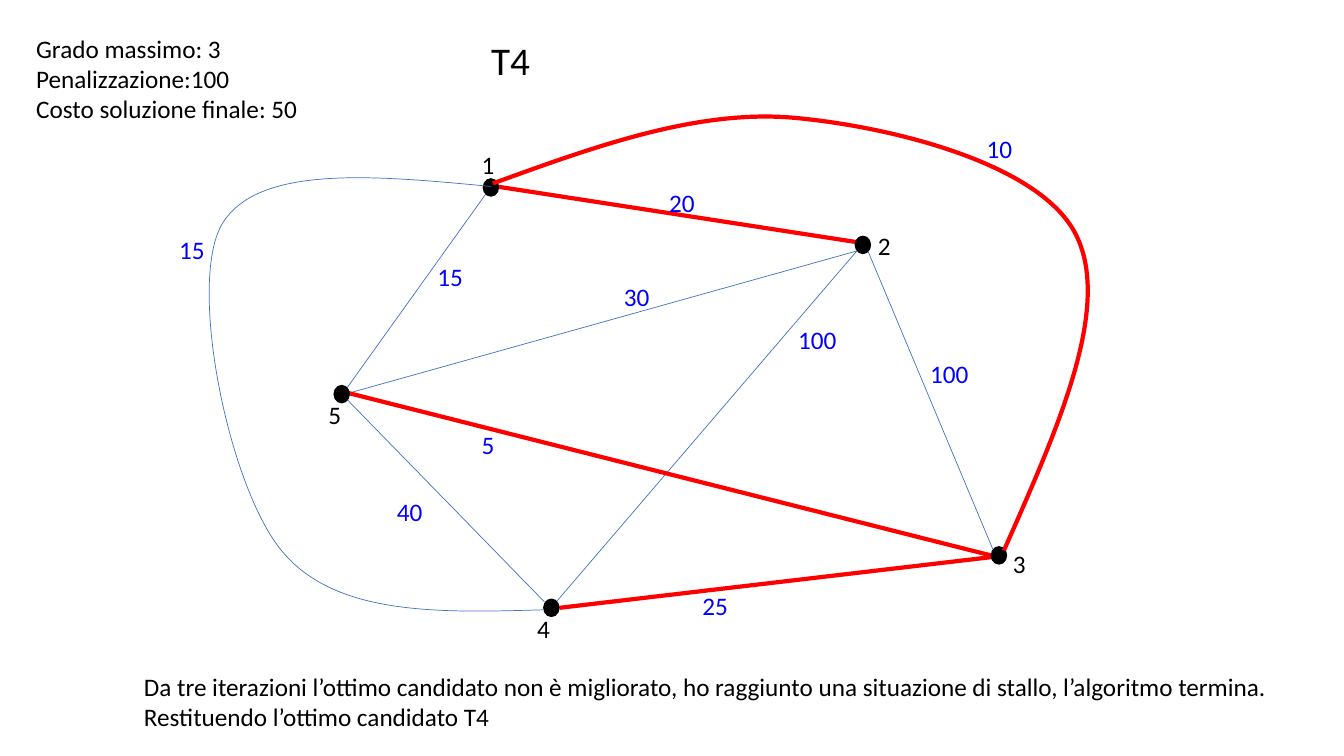
import pptx
import pptx.util
import pptx.dml.color
import pptx.enum.shapes
import pptx.enum.text
import lxml.etree

CELL = 0.1  # inches; the slide is a grid of 133.3 columns by 75 rows
BLACK, WHITE, BLUE, RED, WEIGHT_BLUE = "000000", "FFFFFF", "4472C4", "FF0000", "0000FF"

# Grid positions below are relative to the graph box.
# number: (centre, label corner)
NODES = {
    "1": ((32.7, 7.6), (30.8, 3.3)),
    "2": ((69.6, 13.3), (70.1, 11.4)),
    "3": ((83.1, 44.1), (83.5, 42.9)),
    "4": ((38.7, 49.3), (36.3, 49.4)),
    "5": ((17.9, 28.1), (15.6, 28.1)),
}
# weight, label corner, points, in the final tree
STRAIGHT_EDGES = [
    ("25", (52.7, 47.1), [(39.5, 49.3), (83.8, 44.1)], True),
    ("15", (26.4, 14.4), [(32.3, 8.1), (18.2, 27.8)], False),
    ("20", (49.4, 7.1), [(32.6, 7.4), (69.5, 13.1)], True),
    ("100", (75.3, 24.1), [(70.1, 13.9), (82.5, 43.5)], False),
    ("40", (22.4, 37.7), [(18.4, 28.6), (38, 48.7)], False),
    ("30", (44.9, 16.4), [(18.6, 28), (69, 13.9)], False),
    ("100", (62.2, 20.7), [(39.2, 48.7), (69, 13.9)], False),
    ("5", (30.8, 31.1), [(18.6, 28), (82.3, 44.1)], True),
]
CURVED_EDGES = [
    ("15", (0.8, 11.8), [(32.7, 7.5), (21.1, 6.4), (9.5, 5.3), (6, 11.3), (2.6, 17.3),
                         (6.7, 37.4), (12, 43.7), (17.3, 50.1), (27.6, 49.8), (37.9, 49.5)], False),
    ("10", (80.9, 1.7), [(32.9, 7.2), (43.1, 3.5), (53.3, -0.2), (62.9, 0.7), (72.6, 1.6),
                         (87.4, 5.3), (90.8, 12.4), (94.3, 19.6), (88.9, 31.6), (83.6, 43.6)], True),
]


def rgb(code):
    """Turn a hex string into a colour."""
    return pptx.dml.color.RGBColor.from_string(code)


def grid(cells):
    """Turn a number of grid cells into a length."""
    return pptx.util.Inches(cells * CELL)


def shifted(point, box):
    """Move a point of a box to its place on the slide."""
    return tuple(grid(start + step) for start, step in zip(box, point))


def add_text(slide, box, lines, size=18, color=BLACK, align=pptx.enum.text.PP_ALIGN.LEFT):
    """Write one paragraph per line in a box given in cells."""
    frame = slide.shapes.add_textbox(*map(grid, box)).text_frame
    frame.word_wrap = False
    frame.text = "\n".join(lines)
    for paragraph in frame.paragraphs:
        paragraph.alignment = align
        paragraph.font.name = "Calibri"
        paragraph.font.size = pptx.util.Pt(size)
        paragraph.font.color.rgb = rgb(color)


def add_label(slide, box, corner, label, color):
    """Write a short label whose width follows its length."""
    left, top = (start + step for start, step in zip(box, corner))
    add_text(slide, (left, top, 2 + 1.3 * len(label), 4), [label], color=color)


def style_edge(line, chosen):
    """Draw tree edges thick and red, the others thin and blue."""
    line.color.rgb = rgb(RED if chosen else BLUE)
    line.width = pptx.util.Pt(3 if chosen else 0.5)


def add_straight(slide, box, points, chosen):
    """Join two points with a straight edge."""
    (x1, y1), (x2, y2) = (shifted(point, box) for point in points)
    edge = slide.shapes.add_connector(pptx.enum.shapes.MSO_CONNECTOR.STRAIGHT, x1, y1, x2, y2)
    lxml.etree.SubElement(edge._element.spPr, pptx.oxml.ns.qn("a:effectLst"))
    style_edge(edge.line, chosen)


def add_curve(slide, box, points, chosen):
    """Draw a Bezier edge: a start, then two handles and an end per piece."""
    start, *rest = (shifted(point, box) for point in points)
    builder = slide.shapes.build_freeform(*start)
    builder.add_line_segments(rest, close=False)
    edge = builder.convert_to_shape()
    segments = list(edge._element.iter(pptx.oxml.ns.qn("a:lnTo")))
    outline = segments[0].getparent()
    for first in range(0, len(segments), 3):
        piece = lxml.etree.SubElement(outline, pptx.oxml.ns.qn("a:cubicBezTo"))
        for segment in segments[first:first + 3]:
            piece.append(segment[0])
            outline.remove(segment)
    edge.fill.background()
    edge.shadow.inherit = False
    style_edge(edge.line, chosen)


def add_node(slide, box, centre):
    """Draw a black dot around a centre."""
    width, height = 1.5, 1.7
    corner = shifted((centre[0] - width / 2, centre[1] - height / 2), box)
    dot = slide.shapes.add_shape(pptx.enum.shapes.MSO_SHAPE.OVAL, *corner, grid(width), grid(height))
    dot.shadow.inherit = False
    dot.fill.solid()
    dot.fill.fore_color.rgb = rgb(BLACK)
    dot.line.color.rgb = rgb(BLACK)
    dot.line.width = pptx.util.Pt(1)


def add_graph(slide, box):
    """Draw the weighted graph from the top left corner of its box."""
    for _, _, points, chosen in STRAIGHT_EDGES:
        add_straight(slide, box, points, chosen)
    for centre, _ in NODES.values():
        add_node(slide, box, centre)
    for _, _, points, chosen in CURVED_EDGES:
        add_curve(slide, box, points, chosen)
    for number, (_, corner) in NODES.items():
        add_label(slide, box, corner, number, BLACK)
    for weight, corner, _, _ in STRAIGHT_EDGES + CURVED_EDGES:
        add_label(slide, box, corner, weight, WEIGHT_BLUE)


def build_slide(deck):
    """Place the parameters, the title, the graph and the conclusion."""
    slide = deck.slides.add_slide(deck.slide_layouts[6])
    slide.background.fill.solid()
    slide.background.fill.fore_color.rgb = rgb(WHITE)
    add_graph(slide, (16, 11))
    add_text(slide, (2.6, 2.8, 28.2, 10.1),
             ["Grado massimo: 3", "Penalizzazione:100", "Costo soluzione finale: 50"])
    add_text(slide, (13.3, 66.1, 115.3, 7.1),
             ["Da tre iterazioni l’ottimo candidato non è migliorato, ho raggiunto "
              "una situazione di stallo, l’algoritmo termina. ",
              "Restituendo l’ottimo candidato T4"])
    add_text(slide, (47.7, 3.1, 5.9, 5.7), ["T4"], size=28,
             align=pptx.enum.text.PP_ALIGN.CENTER)


deck = pptx.Presentation()
deck.slide_width, deck.slide_height = grid(133.33), grid(75)
build_slide(deck)
deck.save("out.pptx")
